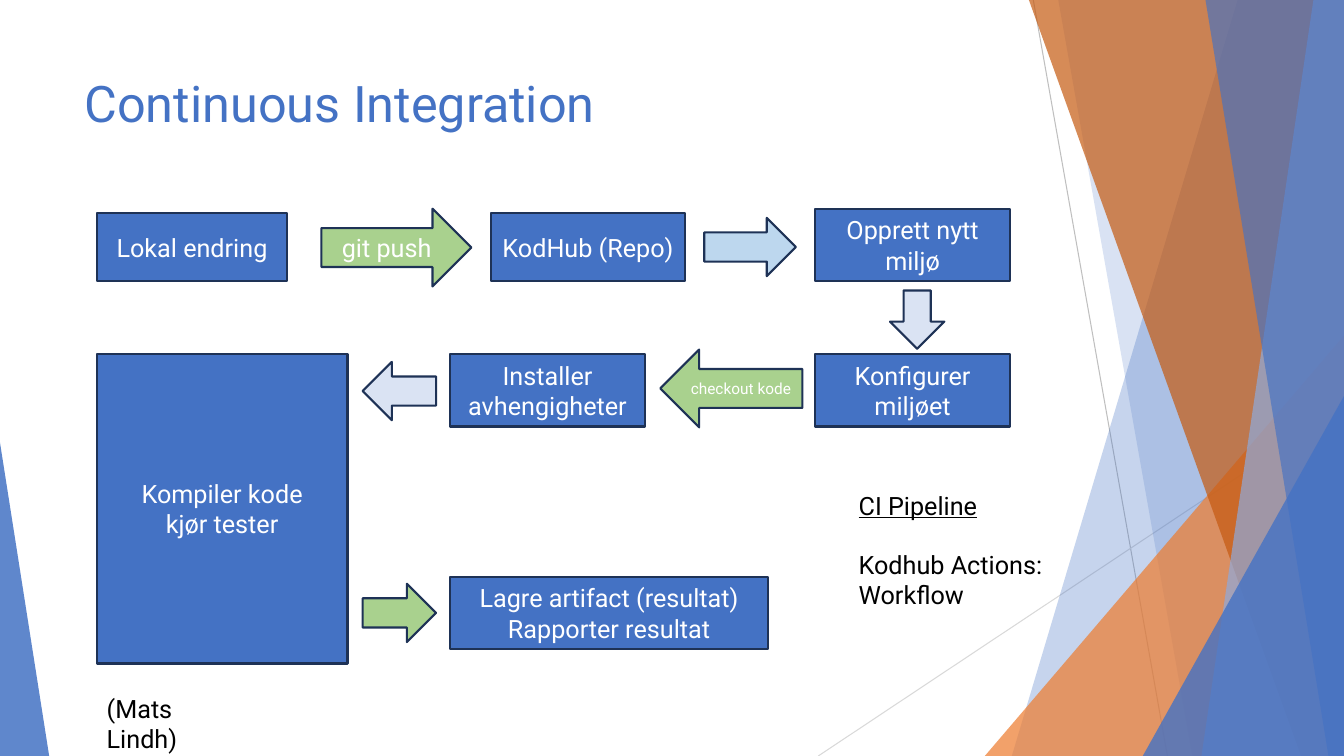
from lxml import etree
from pptx import Presentation
from pptx.dml.color import RGBColor
from pptx.enum.shapes import MSO_CONNECTOR, MSO_SHAPE
from pptx.enum.text import MSO_ANCHOR, PP_ALIGN
from pptx.oxml.ns import qn
from pptx.util import Cm, Pt

RECTANGLE = MSO_SHAPE.RECTANGLE
RIGHT = MSO_SHAPE.RIGHT_ARROW
LEFT = MSO_SHAPE.LEFT_ARROW
DOWN = MSO_SHAPE.DOWN_ARROW
TRIANGLE = MSO_SHAPE.ISOSCELES_TRIANGLE
STRAIGHT = MSO_CONNECTOR.STRAIGHT
MIDDLE = MSO_ANCHOR.MIDDLE
CENTER = PP_ALIGN.CENTER
ALIGN_LEFT = PP_ALIGN.LEFT

FONT = "Roboto"
BLUE = RGBColor(0x44, 0x72, 0xC4)
LIGHT_BLUE = RGBColor(0x8F, 0xAA, 0xDC)
SKY = RGBColor(0xBD, 0xD7, 0xEE)
PALE_BLUE = RGBColor(0xDA, 0xE3, 0xF3)
NAVY = RGBColor(0x1E, 0x32, 0x56)
ORANGE = RGBColor(0xED, 0x7D, 0x31)
DARK_ORANGE = RGBColor(0xC5, 0x5A, 0x11)
GREEN = RGBColor(0xA9, 0xD1, 0x8E)
GREY = RGBColor(0xBF, 0xBF, 0xBF)
LIGHT_GREY = RGBColor(0xD9, 0xD9, 0xD9)
WHITE = RGBColor(0xFF, 0xFF, 0xFF)
BLACK = RGBColor(0x00, 0x00, 0x00)

WIDTH, HEIGHT = 33.87, 19.05


def write(paragraph, text, size, color, alignment=ALIGN_LEFT):
    paragraph.text = text
    paragraph.alignment = alignment
    paragraph.font.name = FONT
    paragraph.font.size = Pt(size)
    paragraph.font.color.rgb = color


def add_text_frame(slide, left, top, width, height):
    box = slide.shapes.add_textbox(Cm(left), Cm(top), Cm(width), Cm(height))
    box.text_frame.word_wrap = True
    return box.text_frame


def add_hairline(slide, start, end, color):
    line = slide.shapes.add_connector(STRAIGHT, *map(Cm, start + end))
    line.line.color.rgb = color
    line.line.width = Pt(0.75)
    etree.SubElement(line._element.spPr, qn("a:effectLst"))


def style_shard(shape, color, opacity):
    shape.shadow.inherit = False
    shape.line.fill.background()
    shape.fill.solid()
    shape.fill.fore_color.rgb = color
    color_element = shape._element.spPr.find(qn("a:solidFill"))[0]
    etree.SubElement(color_element, qn("a:alpha"), val=str(opacity * 1000))


def add_band(slide, top_left, bottom_left, right, height, color, opacity):
    """A band whose slanted left edge runs down to the slide's right side."""
    builder = slide.shapes.build_freeform(Cm(top_left), 0)
    corners = [(right, 0), (right, height), (bottom_left, height)]
    builder.add_line_segments([(Cm(x), Cm(y)) for x, y in corners])
    style_shard(builder.convert_to_shape(), color, opacity)


def add_triangle(slide, left, top, right, bottom, apex, color, opacity):
    shape = slide.shapes.add_shape(
        TRIANGLE, Cm(left), Cm(top), Cm(right - left), Cm(bottom - top))
    shape.adjustments[0] = apex
    style_shard(shape, color, opacity)


def add_decoration(slide, width, height):
    add_hairline(slide, (26.04, 0), (29.42, height), GREY)
    add_hairline(slide, (width, 10.24), (20.62, height), LIGHT_GREY)
    # Overlapping shards on the right, from back to front
    add_band(slide, 31.19, 25.5, width, height, BLUE, 30)
    add_band(slide, 26.67, 30.05, width, height, BLUE, 20)
    add_triangle(slide, 24.82, 8.46, width, height, 1, ORANGE, 72)
    add_band(slide, 25.93, 32.79, width, height, DARK_ORANGE, 70)
    add_band(slide, 33.1, 30.28, width, height, LIGHT_BLUE, 70)
    add_band(slide, 30.38, 33.48, width, height, BLUE, 65)
    add_triangle(slide, 28.8, 9.98, width, height, 1, BLUE, 80)
    # Sliver on the left
    add_triangle(slide, 0, 11.15, 1.24, height, 0, BLUE, 85)


def add_title(slide, left, top, width, height):
    frame = add_text_frame(slide, left, top, width, height)
    write(frame.paragraphs[0], "Continuous Integration", 36, BLUE)


def add_pipeline(slide, left, top):
    def add_part(kind, x, y, width, height, color, text="", size=18):
        shape = slide.shapes.add_shape(
            kind, Cm(left + x), Cm(top + y), Cm(width), Cm(height))
        shape.shadow.inherit = False
        shape.fill.solid()
        shape.fill.fore_color.rgb = color
        shape.line.color.rgb = NAVY
        shape.line.width = Pt(1.5)
        if text:
            frame = shape.text_frame
            frame.word_wrap = True
            frame.vertical_anchor = MIDDLE
            write(frame.paragraphs[0], text, size, WHITE, CENTER)

    step_width, step_height = 4.9, 1.83
    middle_x, right_x = 8.91, 18.11
    second_row, last_row = 3.66, 9.27

    # Steps
    steps = [
        (0, 0.1, 4.8, 1.73, "Lokal endring"),
        (9.93, 0.1, step_width, 1.73, "KodHub (Repo)"),
        (right_x, 0, step_width, step_height, "Opprett nytt miljø"),
        (right_x, second_row, step_width, step_height, "Konfigurer miljøet"),
        (middle_x, second_row, step_width, step_height,
         "Installer avhengigheter"),
        (0, second_row, 6.32, 7.8, "Kompiler kode\nkjør tester"),
        (middle_x, last_row, 8, step_height,
         "Lagre artifact (resultat)\nRapporter resultat"),
    ]
    for x, y, width, height, text in steps:
        add_part(RECTANGLE, x, y, width, height, BLUE, text)

    # Arrows between the steps
    add_part(RIGHT, 5.66, 0, 3.78, 1.96, GREEN, "git push")
    add_part(RIGHT, 15.31, 0.23, 2.31, 1.47, SKY)
    add_part(DOWN, 19.99, 2.06, 1.37, 1.47, PALE_BLUE)
    add_part(LEFT, 14.2, 3.55, 3.58, 1.96, GREEN, "checkout kode", 11)
    add_part(LEFT, 6.7, 3.86, 1.85, 1.47, PALE_BLUE)
    add_part(RIGHT, 6.7, 9.45, 1.85, 1.47, GREEN)


def add_credit(slide, left, top, width, height):
    frame = add_text_frame(slide, left, top, width, height)
    write(frame.paragraphs[0], "(Mats Lindh)", 18, BLACK)


def add_explanation(slide, left, top, width, height):
    frame = add_text_frame(slide, left, top, width, height)
    heading = frame.paragraphs[0]
    write(heading, "CI Pipeline", 18, BLACK)
    heading.font.underline = True
    detail = frame.add_paragraph()
    write(detail, "Kodhub Actions:\nWorkflow", 18, BLACK)
    detail.space_before = Pt(21)


def main():
    presentation = Presentation()
    presentation.slide_width = Cm(WIDTH)
    presentation.slide_height = Cm(HEIGHT)
    slide = presentation.slides.add_slide(presentation.slide_layouts[6])
    add_decoration(slide, WIDTH, HEIGHT)
    add_title(slide, 1.88, 1.7, 23.88, 3.66)
    add_pipeline(slide, 2.44, 5.26)
    add_credit(slide, 2.44, 17.35, 2.8, 1.02)
    add_explanation(slide, 21.39, 12.22, 5.38, 3.33)
    presentation.save("out.pptx")


if __name__ == "__main__":
    main()
